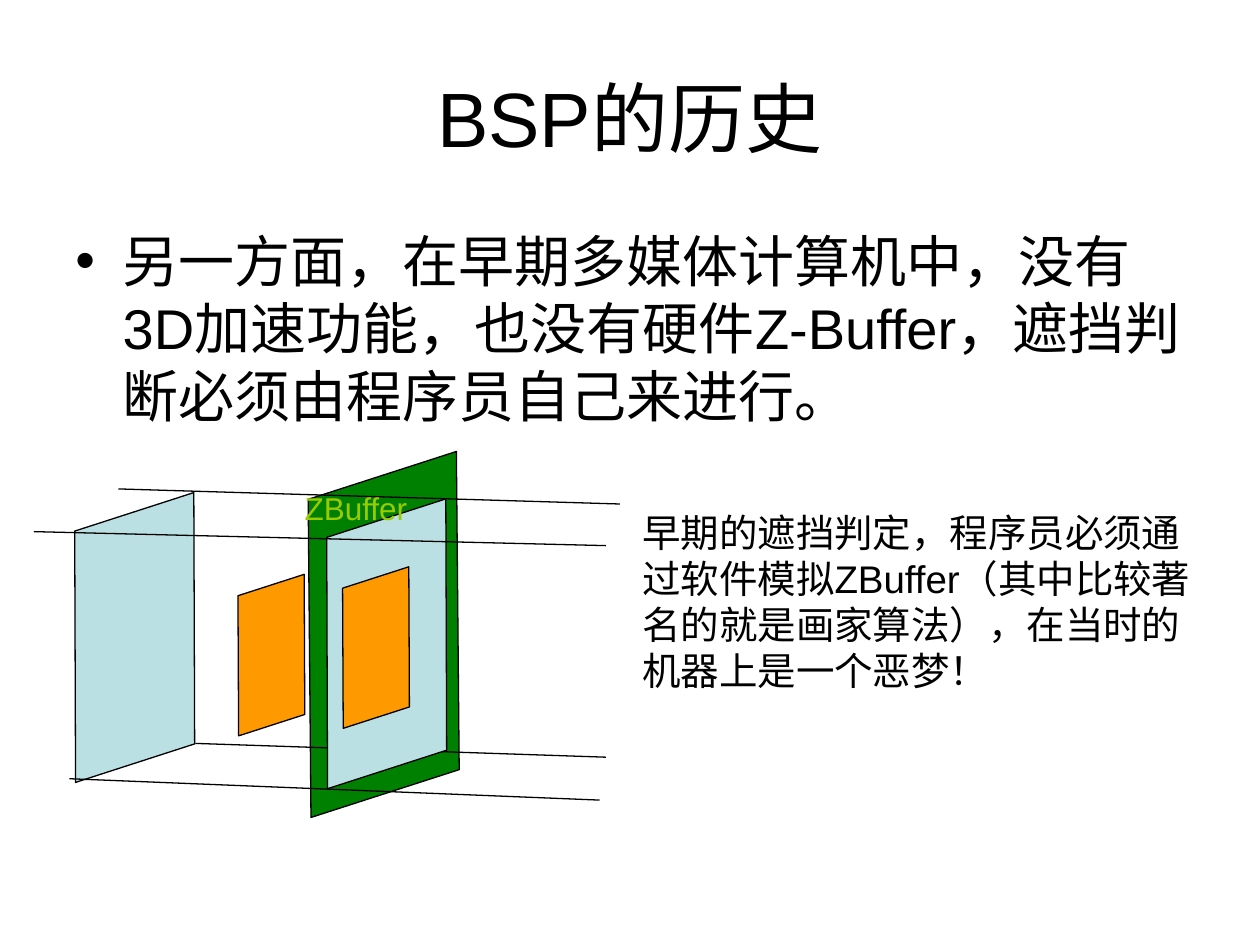
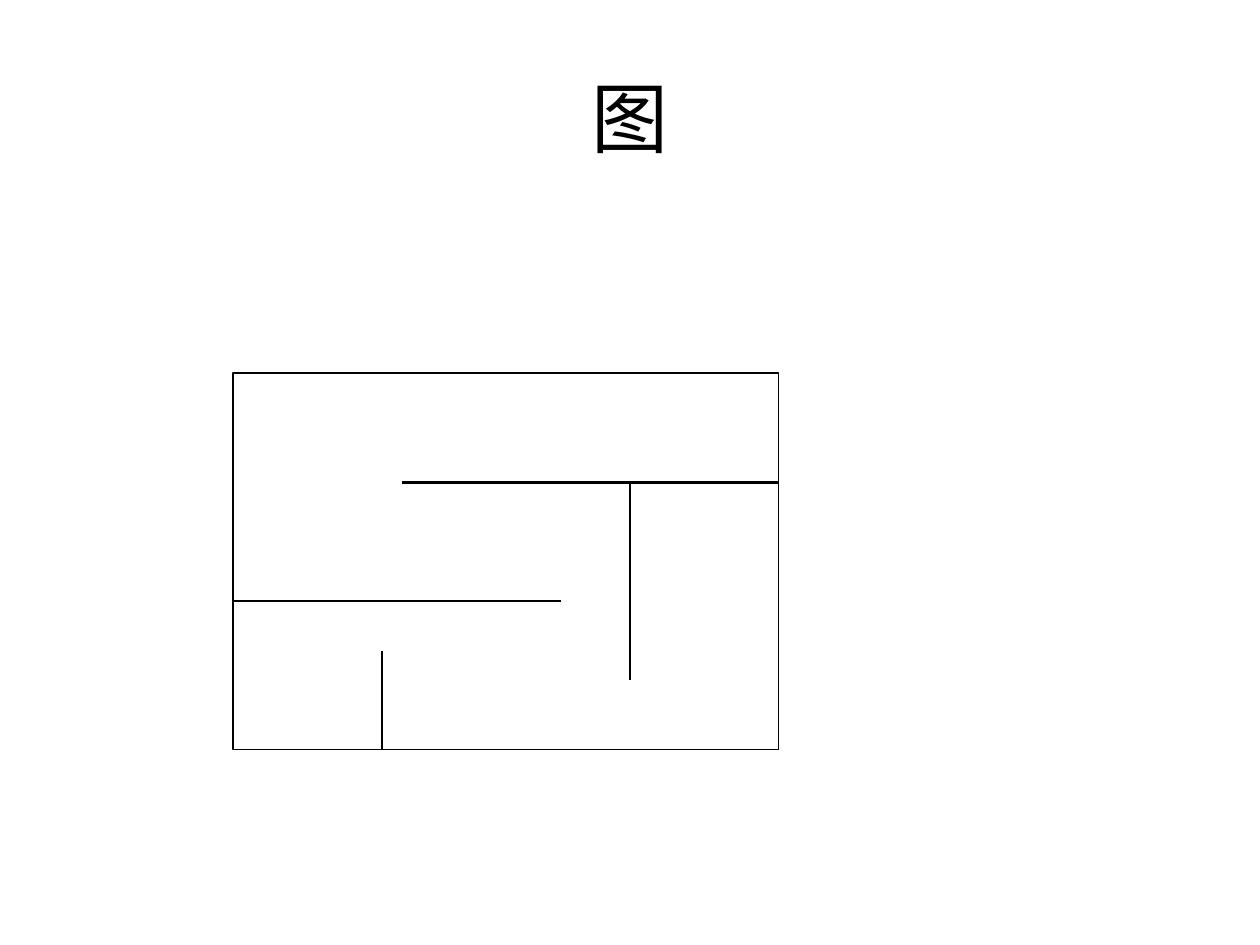
from lxml.etree import SubElement
from pptx import Presentation
from pptx.dml.color import RGBColor
from pptx.enum.shapes import MSO_CONNECTOR, MSO_SHAPE
from pptx.enum.text import MSO_ANCHOR, PP_ALIGN
from pptx.oxml.ns import qn
from pptx.util import Pt

COLORS = {
    "ink": "000000",
    "buffer": "008000",
    "screen": "BBE0E3",
    "object": "FF9900",
    "label": "99CC00",
}
FONT = "Arial"
PLANE_TILT = -17.9
PLANE_SKEW = 0.379
SCREEN_SIZE = (115.2, 136.8)
OBJECT_SIZE = (64, 76.3)


def color(name):
    return RGBColor.from_string(COLORS[name])


def style_paragraph(paragraph, size, color_name="ink"):
    paragraph.font.name = FONT
    paragraph.font.size = Pt(size)
    paragraph.font.color.rgb = color(color_name)


def add_titled_slide(presentation, text):
    slide = presentation.slides.add_slide(presentation.slide_layouts[5])
    title = slide.shapes.title
    title.left, title.top = Pt(36), Pt(21.6)
    title.width, title.height = Pt(648), Pt(90)
    title.text_frame.text = text
    title.text_frame.vertical_anchor = MSO_ANCHOR.MIDDLE
    paragraph = title.text_frame.paragraphs[0]
    paragraph.alignment = PP_ALIGN.CENTER
    style_paragraph(paragraph, 44)
    return slide


def add_text(slide, box, text, size, color_name="ink", space_before=0, wrap=True):
    shape = slide.shapes.add_textbox(*map(Pt, box))
    shape.text_frame.word_wrap = wrap
    shape.text_frame.text = text
    paragraph = shape.text_frame.paragraphs[0]
    paragraph.space_before = Pt(space_before)
    style_paragraph(paragraph, size, color_name)
    return paragraph


def add_bullet(paragraph, indent):
    properties = paragraph._p.get_or_add_pPr()
    properties.set("marL", str(Pt(indent)))
    properties.set("indent", str(-Pt(indent)))
    SubElement(properties, qn("a:buFont")).set("typeface", FONT)
    SubElement(properties, qn("a:buChar")).set("char", "•")


def add_outlined_shape(slide, kind, left, top, size, fill=None):
    shape = slide.shapes.add_shape(kind, Pt(left), Pt(top), *map(Pt, size))
    shape.shadow.inherit = False
    if fill:
        shape.fill.solid()
        shape.fill.fore_color.rgb = color(fill)
    else:
        shape.fill.background()
    shape.line.color.rgb = color("ink")
    shape.line.width = Pt(0.75)
    return shape


def add_plane(slide, left, top, size, fill):
    plane = add_outlined_shape(slide, MSO_SHAPE.PARALLELOGRAM, left, top, size, fill)
    plane.adjustments[0] = PLANE_SKEW
    plane.rotation = PLANE_TILT


def add_line(slide, start, end, width):
    line = slide.shapes.add_connector(
        MSO_CONNECTOR.STRAIGHT, *map(Pt, (*start, *end)))
    line.line.color.rgb = color("ink")
    line.line.width = Pt(width)
    SubElement(line._element.spPr, qn("a:effectLst"))


def build_history_slide(presentation):
    slide = add_titled_slide(presentation, "BSP的历史")
    bullet = add_text(
        slide, (36, 126, 648, 356.4),
        "另一方面，在早期多媒体计算机中，没有3D加速功能，也没有硬件Z-Buffer，"
        "遮挡判断必须由程序员自己来进行。", 32, space_before=8)
    add_bullet(bullet, 27)
    add_text(
        slide, (360, 287.3, 340.6, 113),
        "早期的遮挡判定，程序员必须通过软件模拟ZBuffer（其中比较著名的就是画家算法），"
        "在当时的机器上是一个恶梦！", 22, space_before=13.8)

    # Scene: the source screen and object, then their projection in the buffer
    add_plane(slide, 147.6, 275.8, (143.3, 173.5), "buffer")
    add_plane(slide, 19.4, 295.9, SCREEN_SIZE, "screen")
    add_plane(slide, 123.1, 336.2, OBJECT_SIZE, "object")
    # Rays behind the projected screen
    add_line(slide, (67.7, 279.4), (354.2, 288), 0.75)
    add_line(slide, (111.6, 424.8), (346.3, 432.7), 0.75)
    add_plane(slide, 163.4, 299.5, SCREEN_SIZE, "screen")
    add_plane(slide, 182.9, 331.9, OBJECT_SIZE, "object")
    # Rays in front of the projected screen
    add_line(slide, (39.6, 445), (342.7, 457.2), 0.75)
    add_line(slide, (19.4, 303.8), (346.3, 311.8), 0.75)
    add_text(slide, (167, 275.8, 79.2, 28.8), "ZBuffer", 18, "label",
             space_before=11.2, wrap=False)


def build_floor_plan_slide(presentation):
    slide = add_titled_slide(presentation, "图")
    left, top, width, height = 133.2, 213.1, 311.8, 215.3
    right, bottom = left + width, top + height
    upper_wall, lower_wall = 275.8, 343.4
    add_outlined_shape(slide, MSO_SHAPE.RECTANGLE, left, top, (width, height))

    # Inner walls
    walls = [
        ((left, lower_wall), (320.4, lower_wall)),
        ((229.7, upper_wall), (right, upper_wall)),
        ((360, upper_wall), (360, 388.8)),
        ((218.2, 372.2), (218.2, bottom)),
    ]
    for start, end in walls:
        add_line(slide, start, end, 1.5)


def main():
    presentation = Presentation()
    presentation.slide_width, presentation.slide_height = Pt(720), Pt(540)
    build_history_slide(presentation)
    build_floor_plan_slide(presentation)
    presentation.save("out.pptx")


if __name__ == "__main__":
    main()
